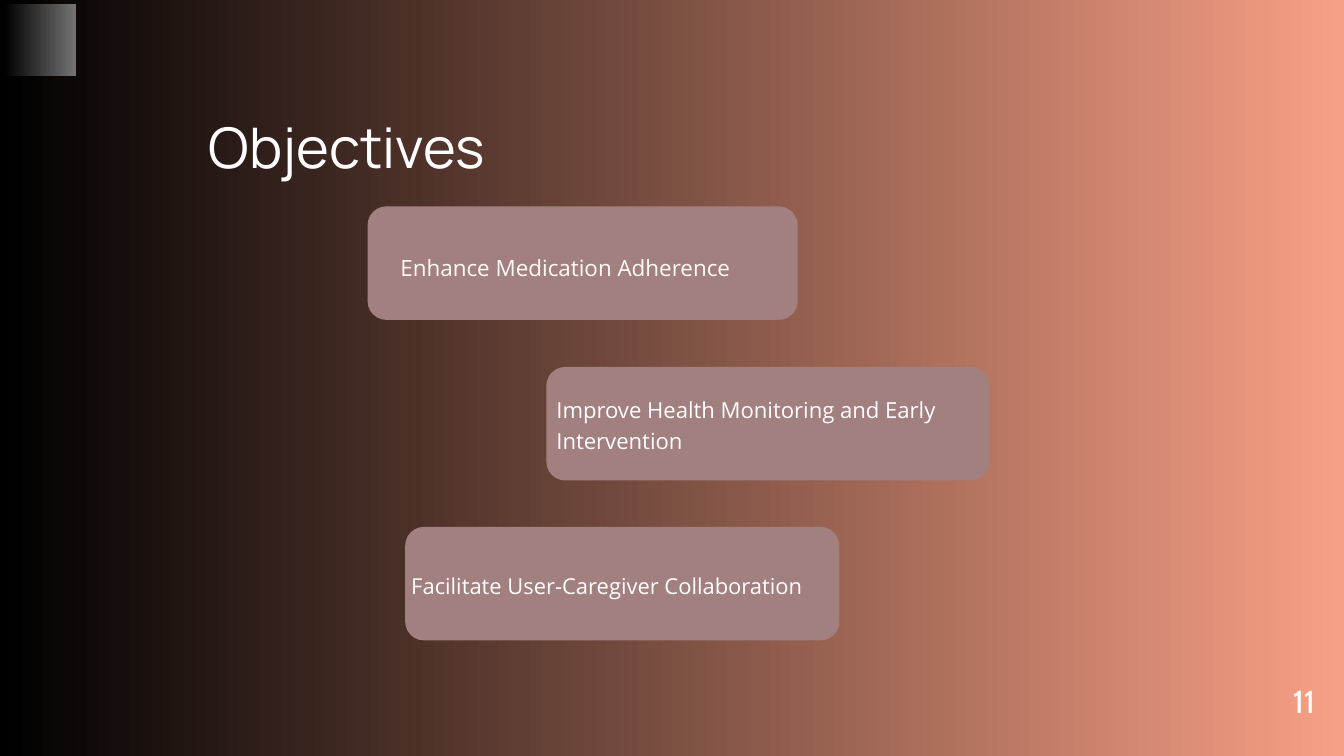
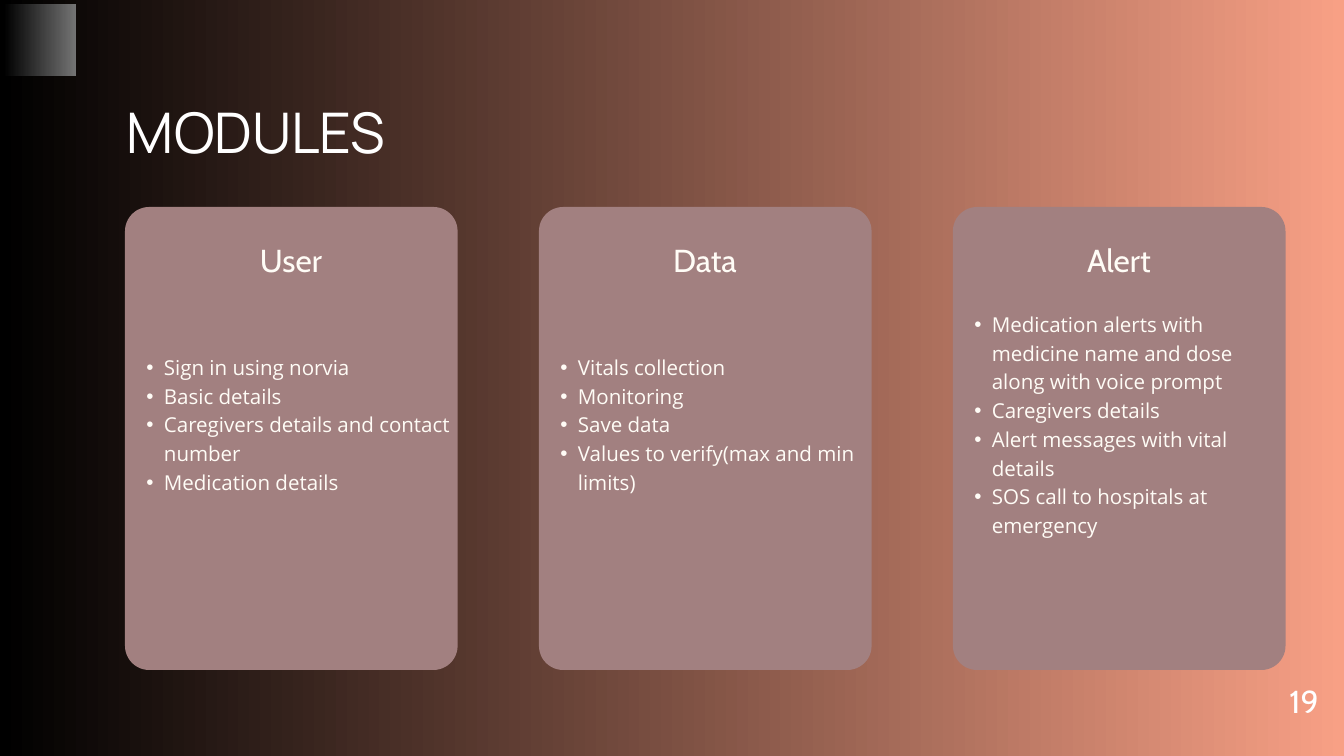
from dataclasses import dataclass

from lxml import etree
from pptx import Presentation
from pptx.dml.color import RGBColor
from pptx.enum.shapes import MSO_SHAPE
from pptx.enum.text import MSO_ANCHOR, MSO_AUTO_SIZE, PP_ALIGN
from pptx.oxml.ns import qn
from pptx.util import Pt

PX = 9144  # 100 px to the inch
SLIDE_W, SLIDE_H = 2000, 1125
RECT, ROUNDED = MSO_SHAPE.RECTANGLE, MSO_SHAPE.ROUNDED_RECTANGLE
LEFT, CENTER = PP_ALIGN.LEFT, PP_ALIGN.CENTER
TOP, MIDDLE = MSO_ANCHOR.TOP, MSO_ANCHOR.MIDDLE
FIT, FIXED = MSO_AUTO_SIZE.SHAPE_TO_FIT_TEXT, MSO_AUTO_SIZE.NONE

COLORS = {"black": "000000", "peach": "F8A085", "grey": "737373",
          "panel": "A28080", "white": "FFFFFF", "cream": "FFFCF6"}


@dataclass(frozen=True)
class Box:
    x: int
    y: int
    w: int
    h: int

    def emu(self) -> tuple[int, ...]:
        return tuple(v * PX for v in (self.x, self.y, self.w, self.h))


@dataclass(frozen=True)
class Style:
    font: str
    size: float
    leading: float
    color: str = "white"
    align: int = LEFT


@dataclass(frozen=True)
class Objective:
    panel: Box
    label: Box
    text: str
    style: Style


@dataclass(frozen=True)
class Module:
    name: str
    items: tuple[str, ...]


TITLE = Style("Manrope", 60, 84)
NUMBER = Style("Cabin", 34, 47.6, align=CENTER)
HEADING = Style("Cabin", 34, 47.6, "cream", CENTER)
BULLET = Style("Open Sans", 22, 30.8, "cream")

CORNER = Box(6, 6, 107, 107)
NUMBER_BOX = Box(1913, 1005, 55, 63)
TITLE_W, TITLE_H = 613, 111

PANEL_H, PANEL_RADIUS = 169, 28
OBJECTIVES = (
    Objective(Box(547, 307, 640, PANEL_H), Box(596, 372, 653, 42),
              "Enhance Medication Adherence", Style("Open Sans", 24, 33.6, "cream")),
    Objective(Box(813, 546, 659, PANEL_H), Box(828, 583, 644, 89),
              "Improve Health Monitoring and Early Intervention", Style("Open Sans", 23.7, 33.2)),
    Objective(Box(603, 784, 646, PANEL_H), Box(612, 845, 664, 43),
              "Facilitate User-Caregiver Collaboration", Style("Open Sans", 23.5, 32.9)),
)

CARD = Box(186, 308, 495, 689)
CARD_PITCH, CARD_RADIUS = 616, 36
HEADING_Y, HEADING_W, HEADING_H = 349, 110, 62
LIST_RISE, LIST_INSET, LIST_BOTTOM = 16, 6, 37
BULLET_MARGIN, BULLET_HANG = 52, 26
MODULES = (
    Module("User", ("Sign in using norvia", "Basic details",
                    "Caregivers details and contact number", "Medication details")),
    Module("Data", ("Vitals collection", "Monitoring", "Save data",
                    "Values to verify(max and min limits)")),
    Module("Alert", ("Medication alerts with medicine name and dose along with voice prompt",
                     "Caregivers details", "Alert messages with vital details",
                     "SOS call to hospitals at emergency")),
)


def rgb(name: str) -> RGBColor:
    return RGBColor.from_string(COLORS[name])


def set_all(target, values: dict) -> None:
    for name, value in values.items():
        setattr(target, name, value)


def fill_gradient(fill, *names: str) -> None:
    """Fill from left to right with the two named colours."""
    fill.gradient()
    fill.gradient_angle = 0
    for stop, name in zip(fill.gradient_stops, names):
        stop.color.rgb = rgb(name)


def add_plain_shape(s, kind: int, box: Box):
    sp = s.shapes.add_shape(kind, *box.emu())
    sp.shadow.inherit = False
    sp.line.fill.background()
    return sp


def add_panel(s, box: Box, radius: int) -> None:
    sp = add_plain_shape(s, ROUNDED, box)
    sp.adjustments[0] = radius / min(box.w, box.h)
    sp.fill.solid()
    sp.fill.fore_color.rgb = rgb("panel")


def add_text_frame(s, box: Box, inset: int = 0, bottom: int = 0,
                   anchor: int = TOP, auto_size: int = FIT):
    tf = s.shapes.add_textbox(*box.emu()).text_frame
    set_all(tf, {"word_wrap": True, "auto_size": auto_size, "vertical_anchor": anchor,
                 "margin_left": inset * PX, "margin_right": inset * PX,
                 "margin_top": inset * PX, "margin_bottom": bottom * PX})
    return tf


def write(p, text: str, style: Style) -> None:
    set_all(p, {"alignment": style.align, "line_spacing": Pt(style.leading)})
    r = p.add_run()
    r.text = text
    set_all(r.font, {"name": style.font, "size": Pt(style.size)})
    r.font.color.rgb = rgb(style.color)


def add_label(s, box: Box, text: str, style: Style) -> None:
    write(add_text_frame(s, box).paragraphs[0], text, style)


def add_bullets(s, box: Box, items: tuple[str, ...]) -> None:
    tf = add_text_frame(s, box, LIST_INSET, LIST_BOTTOM, MIDDLE, FIXED)
    for i, item in enumerate(items):
        p = tf.add_paragraph() if i else tf.paragraphs[0]
        p.level = 1
        pPr = p._p.get_or_add_pPr()
        pPr.set("marL", str(BULLET_MARGIN * PX))
        pPr.set("indent", str(-BULLET_HANG * PX))
        etree.SubElement(pPr, qn("a:buFont")).set("typeface", "Arial")
        etree.SubElement(pPr, qn("a:buChar")).set("char", "•")
        write(p, item, BULLET)


def add_base_slide(prs, title: str, x: int, y: int, number: int):
    """Add a slide with the shared background, corner square, title and number."""
    s = prs.slides.add_slide(prs.slide_layouts[6])
    fill_gradient(s.background.fill, "black", "peach")
    fill_gradient(add_plain_shape(s, RECT, CORNER).fill, "black", "grey")
    add_label(s, Box(x, y, TITLE_W, TITLE_H), title, TITLE)
    add_label(s, NUMBER_BOX, str(number), NUMBER)
    return s


def add_objectives_slide(prs) -> None:
    s = add_base_slide(prs, "Objectives", 311, 151, 11)
    for objective in OBJECTIVES:
        add_panel(s, objective.panel, PANEL_RADIUS)
        add_label(s, objective.label, objective.text, objective.style)


def add_modules_slide(prs) -> None:
    s = add_base_slide(prs, "MODULES", 189, 128, 19)
    for i, module in enumerate(MODULES):
        x = CARD.x + i * CARD_PITCH
        add_panel(s, Box(x, CARD.y, CARD.w, CARD.h), CARD_RADIUS)
        add_bullets(s, Box(x, CARD.y - LIST_RISE, CARD.w, CARD.h + LIST_RISE), module.items)
        heading_x = x + (CARD.w - HEADING_W) // 2
        add_label(s, Box(heading_x, HEADING_Y, HEADING_W, HEADING_H), module.name, HEADING)


def main() -> None:
    prs = Presentation()
    set_all(prs, {"slide_width": SLIDE_W * PX, "slide_height": SLIDE_H * PX})
    add_objectives_slide(prs)
    add_modules_slide(prs)
    prs.save("out.pptx")


if __name__ == "__main__":
    main()
